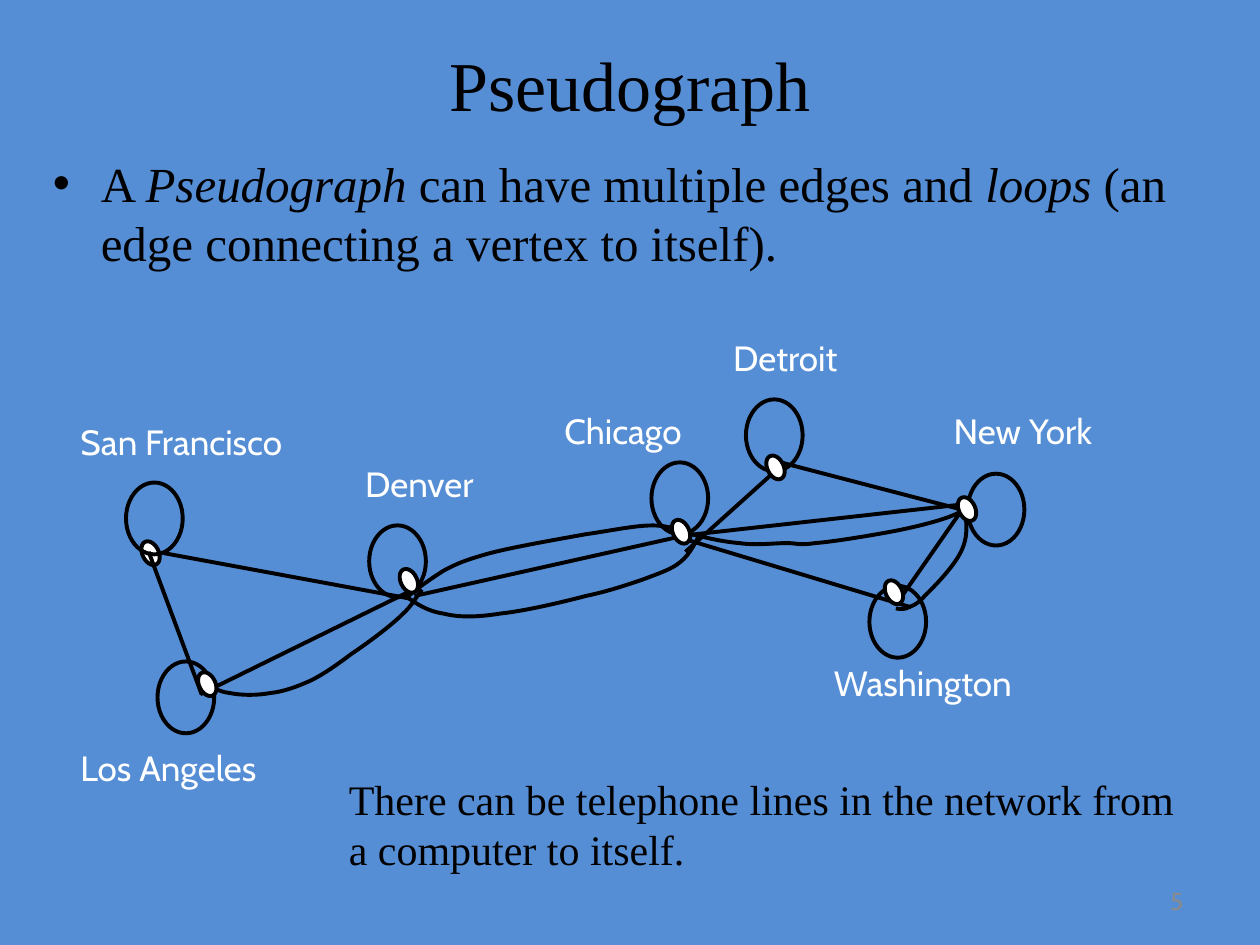
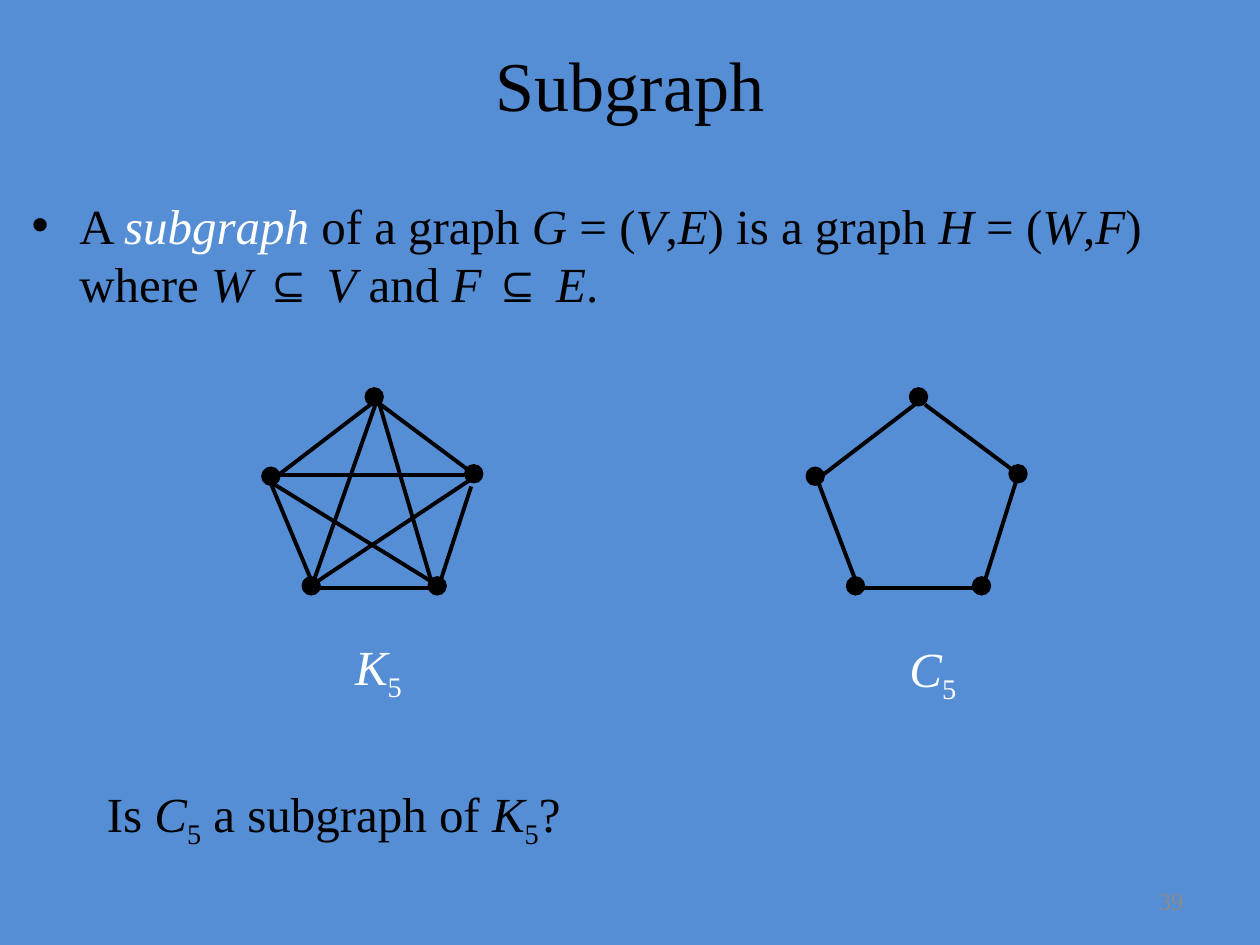
import pptx
import pptx.dml.color
import pptx.enum.shapes
import pptx.enum.text
import pptx.util
from lxml import etree
from pptx.oxml.ns import qn
from pptx.util import Inches, Pt

COLORS = {"background": "558ED5", "ink": "000000", "light": "FFFFFF", "number": "8B8B8B"}
SERIF, SANS, SYMBOL = "Times New Roman", "Cabin", "Arial"
ALIGN = pptx.enum.text.PP_ALIGN
ANCHOR = pptx.enum.text.MSO_ANCHOR
OVAL = pptx.enum.shapes.MSO_SHAPE.OVAL
ROUNDED = pptx.enum.shapes.MSO_SHAPE.ROUNDED_RECTANGLE
STRAIGHT = pptx.enum.shapes.MSO_CONNECTOR.STRAIGHT


def color(name):
    return pptx.dml.color.RGBColor.from_string(COLORS[name])


class GraphDeck:
    def __init__(self):
        self.presentation = pptx.Presentation()
        self.presentation.slide_width = Inches(10)
        self.presentation.slide_height = Inches(7.5)
        self.slide = None

    def start_slide(self, title, number, number_font):
        self.slide = self.presentation.slides.add_slide(self.presentation.slide_layouts[5])
        fill = self.slide.background.fill
        fill.solid()
        fill.fore_color.rgb = color("background")
        shape = self.slide.shapes.title
        shape.left, shape.top, shape.width, shape.height = map(Inches, (0.5, 0.16, 9, 1))
        shape.text_frame.vertical_anchor = ANCHOR.MIDDLE
        paragraph = shape.text_frame.paragraphs[0]
        paragraph.alignment = ALIGN.CENTER
        self.add_runs(paragraph, [title], 40)
        paragraph = self.text((7.16, 6.98, 2.33, 0.4), [number], 14, "number", number_font)
        paragraph.alignment = ALIGN.RIGHT

    def add_runs(self, paragraph, pieces, size, tint="ink", font=SERIF):
        for piece in pieces:
            text, style = (piece, {}) if isinstance(piece, str) else piece
            run = paragraph.add_run()
            run.text = text
            run.font.size = Pt(size)
            run.font.name = style.get("font", font)
            run.font.italic = style.get("italic", False)
            run.font.color.rgb = color(style.get("tint", tint))
            if style.get("subscript"):
                run.font._element.set("baseline", "-25000")

    def text(self, box, pieces, size, tint="ink", font=SERIF, spacing=None, side=0.1):
        shape = self.slide.shapes.add_textbox(*map(Inches, box))
        return self.fill_text(shape, pieces, size, tint, font, spacing, side)

    def fill_text(self, shape, pieces, size, tint, font, spacing, side=0.1):
        frame = shape.text_frame
        frame.word_wrap = True
        frame.margin_left = frame.margin_right = Inches(side)
        paragraph = frame.paragraphs[0]
        if spacing:
            paragraph.line_spacing = spacing
        self.add_runs(paragraph, pieces, size, tint, font)
        return paragraph

    def label(self, name, left, top, width):
        shape = self.slide.shapes.add_shape(ROUNDED, *map(Inches, (left, top, width, 0.39)))
        shape.adjustments[0] = 0
        shape.shadow.inherit = False
        shape.fill.background()
        shape.line.fill.background()
        shape.text_frame.vertical_anchor = ANCHOR.TOP
        paragraph = self.fill_text(shape, [name], 20, "light", SANS, 0.87)
        paragraph.alignment = ALIGN.LEFT

    def bullet(self, box, pieces):
        paragraph = self.text(box, pieces, 28, side=0)
        properties = paragraph._p.get_or_add_pPr()
        properties.set("marL", str(Inches(0.38)))
        properties.set("indent", str(-Inches(0.38)))
        etree.SubElement(properties, qn("a:buFont")).set("typeface", SYMBOL)
        etree.SubElement(properties, qn("a:buChar")).set("char", "•")

    def outline(self, shape, width=2.25):
        shape.line.color.rgb = color("ink")
        shape.line.width = Pt(width)

    def edge(self, x1, y1, x2, y2):
        connector = self.slide.shapes.add_connector(STRAIGHT, *map(Inches, (x1, y1, x2, y2)))
        self.outline(connector)
        etree.SubElement(connector._element.spPr, qn("a:effectLst"))

    def curve(self, start, segments):
        points = [(Inches(segment[i]), Inches(segment[i + 1]))
                  for segment in segments for i in (0, 2, 4)]
        builder = self.slide.shapes.build_freeform(*map(Inches, start))
        builder.add_line_segments(points, close=False)
        shape = builder.convert_to_shape()
        lines = list(shape._element.iter(qn("a:lnTo")))
        for first in range(0, len(lines), 3):
            bezier = etree.SubElement(lines[first].getparent(), qn("a:cubicBezTo"))
            for line in lines[first:first + 3]:
                bezier.append(line[0])
                line.getparent().remove(line)
        shape.shadow.inherit = False
        shape.fill.background()
        self.outline(shape)

    def oval(self, left, top, width, height, tint=None, rotation=0, line=2.25):
        shape = self.slide.shapes.add_shape(OVAL, *map(Inches, (left, top, width, height)))
        shape.shadow.inherit = False
        shape.rotation = rotation
        if tint:
            shape.fill.solid()
            shape.fill.fore_color.rgb = color(tint)
        else:
            shape.fill.background()
        self.outline(shape, line)

    def computer(self, left, top):
        self.oval(left, top, 0.13, 0.2, "light", 334)


ITALIC = {"italic": True}
SUBSCRIPT = {"subscript": True}

CITIES = [
    ("San Francisco", (0.54, 3.33, 1.98), (1.13, 4.29), (1, 3.83)),
    ("Denver", (2.8, 3.67, 1.14), (3.18, 4.51), (2.93, 4.17)),
    ("Los Angeles", (0.54, 5.92, 1.76), (1.58, 5.33), (1.25, 5.25)),
    ("New York", (7.47, 3.25, 1.45), (7.61, 3.94), (7.68, 3.76)),
    ("Chicago", (4.38, 3.25, 1.25), (5.34, 4.12), (5.17, 3.67)),
    ("Washington", (6.52, 5.25, 1.77), (7.03, 4.6), (6.9, 4.65)),
    ("Detroit", (5.72, 2.67, 1.11), (6.09, 3.61), (5.92, 3.17)),
]

TELEPHONE_LINES = [
    (1.18, 4.38, 1.6, 5.51), (6.23, 3.67, 5.44, 4.38), (1.3, 4.39, 3.25, 4.75),
    (3.32, 4.66, 1.59, 5.51), (6.12, 3.65, 7.73, 4.07), (5.34, 4.26, 7.67, 4),
    (5.34, 4.25, 7.23, 4.82), (5.48, 4.24, 3.29, 4.73), (7.11, 4.8, 7.64, 4.04),
]

PARALLEL_LINES = [
    ((1.58, 5.4), [(1.66, 5.44, 1.73, 5.49, 1.82, 5.5), (1.92, 5.52, 2.04, 5.52, 2.15, 5.5),
                   (2.25, 5.49, 2.36, 5.45, 2.47, 5.4), (2.57, 5.35, 2.67, 5.28, 2.79, 5.19),
                   (2.91, 5.11, 3.1, 4.97, 3.19, 4.88), (3.28, 4.8, 3.32, 4.71, 3.35, 4.68)]),
    ((3.22, 4.73), [(3.3, 4.79, 3.39, 4.85, 3.52, 4.87), (3.64, 4.9, 3.78, 4.9, 3.97, 4.87),
                    (4.16, 4.85, 4.46, 4.78, 4.65, 4.73), (4.84, 4.69, 4.98, 4.64, 5.1, 4.6),
                    (5.23, 4.55, 5.33, 4.52, 5.4, 4.46), (5.48, 4.4, 5.53, 4.28, 5.55, 4.25)]),
    ((3.22, 4.75), [(3.31, 4.67, 3.41, 4.6, 3.52, 4.53), (3.63, 4.47, 3.71, 4.44, 3.89, 4.39),
                    (4.08, 4.34, 4.43, 4.28, 4.65, 4.24), (4.86, 4.21, 5.04, 4.17, 5.18, 4.17),
                    (5.31, 4.17, 5.4, 4.21, 5.48, 4.24)]),
    ((7.64, 3.98), [(7.67, 4.1, 7.69, 4.23, 7.64, 4.35), (7.59, 4.48, 7.42, 4.65, 7.34, 4.73),
                    (7.27, 4.81, 7.23, 4.81, 7.19, 4.83), (7.15, 4.84, 7.13, 4.83, 7.11, 4.83)]),
    ((5.41, 4.22), [(5.57, 4.26, 5.73, 4.3, 5.87, 4.31), (6, 4.33, 6.14, 4.31, 6.24, 4.31),
                    (6.34, 4.31, 6.33, 4.33, 6.47, 4.31), (6.61, 4.3, 6.91, 4.25, 7.07, 4.22),
                    (7.23, 4.19, 7.35, 4.16, 7.45, 4.13), (7.55, 4.1, 7.61, 4.07, 7.67, 4.04)]),
]

VERTICES = [(2.9, 3.08), (2.08, 3.71), (3.69, 3.69), (2.4, 4.58), (3.4, 4.58)]
ROOF_EDGES = [(3.02, 3.21, 3.77, 3.77), (2.21, 3.77, 3.02, 3.15)]
COMPLETE_EDGES = ROOF_EDGES + [
    (2.13, 3.79, 2.46, 4.58), (3.5, 4.67, 2.5, 4.67), (3.49, 4.63, 3.74, 3.86),
    (2.17, 3.84, 3.48, 4.65), (2.48, 4.64, 3.79, 3.77), (3, 3.17, 3.44, 4.67),
    (2.98, 3.21, 2.48, 4.64), (2.16, 3.77, 3.73, 3.77),
]
CYCLE_EDGES = ROOF_EDGES + [
    (2.16, 3.79, 2.46, 4.58), (3.43, 4.67, 2.51, 4.67), (3.49, 4.63, 3.76, 3.77),
]


def pseudograph_slide(deck):
    deck.start_slide("Pseudograph", "5", SANS)
    deck.bullet((0.42, 1.17, 9.29, 1.42), [
        "A ", ("Pseudograph", ITALIC), " can have multiple edges and ", ("loops", ITALIC),
        " (an edge connecting a vertex to itself)."])
    deck.text((2.67, 6.09, 6.83, 0.9),
              ["There can be telephone lines in the network from a computer to itself."],
              24, spacing=Pt(28.6))
    deck.computer(*CITIES[0][2])
    for line in TELEPHONE_LINES:
        deck.edge(*line)
    for start, segments in PARALLEL_LINES:
        deck.curve(start, segments)
    for name, label, node, loop in CITIES:
        deck.label(name, *label)
        deck.oval(*loop, 0.45, 0.57)
    for name, label, node, loop in CITIES[1:]:
        deck.computer(*node)


def five_vertex_graph(deck, letter, offset, edges, label_left, label_top):
    for x1, y1, x2, y2 in edges:
        deck.edge(x1 + offset, y1, x2 + offset, y2)
    for left, top in VERTICES:
        deck.oval(left + offset, top, 0.14, 0.14, "ink", line=1)
    deck.text((label_left, label_top, 0.6, 0.63),
              [(letter, ITALIC), ("5", SUBSCRIPT)], 28, "light")


def subgraph_slide(deck):
    deck.start_slide("Subgraph", "39", SERIF)
    subset = ("⊆ ", {"font": SYMBOL})
    deck.bullet((0.25, 1.5, 9.42, 1.67), [
        "A ", ("subgraph", {"italic": True, "tint": "light"}), " of a graph ", ("G", ITALIC),
        " = (", ("V", ITALIC), ",", ("E", ITALIC), ") is a graph ", ("H", ITALIC),
        " = (", ("W", ITALIC), ",", ("F", ITALIC), ") where ", ("W ", ITALIC), subset,
        ("V", ITALIC), " and ", ("F ", ITALIC), subset, ("E", ITALIC), "."])
    five_vertex_graph(deck, "K", 0, COMPLETE_EDGES, 2.72, 5)
    five_vertex_graph(deck, "C", 4.32, CYCLE_EDGES, 7.12, 5.02)
    deck.text((0.75, 6.17, 7.17, 0.63), [
        "Is ", ("C", ITALIC), ("5", SUBSCRIPT), " a subgraph of ", ("K", ITALIC),
        ("5", SUBSCRIPT), "?"], 28)


def main():
    deck = GraphDeck()
    pseudograph_slide(deck)
    subgraph_slide(deck)
    deck.presentation.save("out.pptx")


if __name__ == "__main__":
    main()
